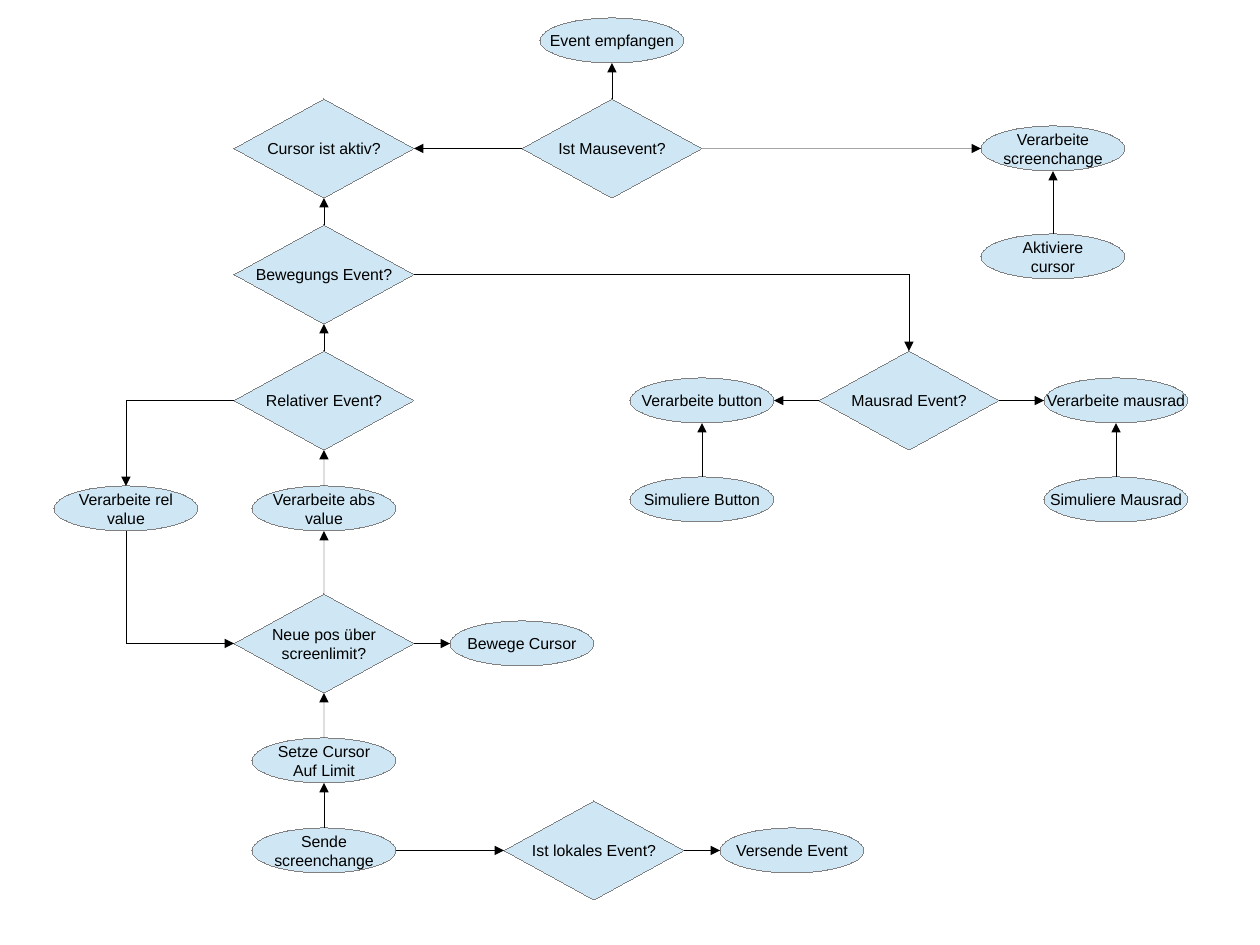
from dataclasses import dataclass

from lxml import etree
from pptx import Presentation
from pptx.dml.color import RGBColor
from pptx.enum.shapes import MSO_CONNECTOR, MSO_SHAPE
from pptx.enum.text import MSO_ANCHOR, PP_ALIGN
from pptx.oxml.ns import qn
from pptx.util import Inches, Pt

STEP, DECISION = MSO_SHAPE.OVAL, MSO_SHAPE.DIAMOND
STRAIGHT, ELBOW = MSO_CONNECTOR.STRAIGHT, MSO_CONNECTOR.ELBOW
CENTER, MIDDLE = PP_ALIGN.CENTER, MSO_ANCHOR.MIDDLE
TOP, LEFT, BOTTOM, RIGHT = range(4)
CM_PER_INCH = 2.54
SLIDE_CM = (28, 21)
SIZES_CM = {STEP: (3.2, 1), DECISION: (4, 2.2)}
OFFSETS = {TOP: (0, -0.5), LEFT: (-0.5, 0), BOTTOM: (0, 0.5), RIGHT: (0.5, 0)}


@dataclass(frozen=True)
class Theme:
    fill: RGBColor = RGBColor(0xCF, 0xE7, 0xF5)
    outline: RGBColor = RGBColor(0x80, 0x80, 0x80)
    ink: RGBColor = RGBColor(0, 0, 0)
    font: str = "Arial"
    text_size: float = 10


@dataclass(frozen=True)
class Node:
    kind: MSO_SHAPE
    cx: float
    cy: float
    text: str

    def side(self, side: int) -> tuple[float, float]:
        w, h = SIZES_CM[self.kind]
        dx, dy = OFFSETS[side]
        return self.cx + dx * w, self.cy + dy * h


@dataclass(frozen=True)
class Arrow:
    start: str
    out: int
    end: str
    into: int


THEME = Theme()
MAIN, REL, MOUSE, SCREEN = 7.2, 2.8, 13.6, 23.4
BUTTON, WHEEL_TEST, WHEEL = 15.6, 20.2, 24.8

NODES = {
    "receive": Node(STEP, MOUSE, 0.9, "Event empfangen"),
    "sim_wheel": Node(STEP, WHEEL, 11.1, "Simuliere Mausrad"),
    "move": Node(STEP, 11.6, 14.3, "Bewege Cursor"),
    "send_change": Node(STEP, MAIN, 18.9, "Sende\nscreenchange"),
    "wheel": Node(STEP, WHEEL, 8.9, "Verarbeite mausrad"),
    "abs": Node(STEP, MAIN, 11.3, "Verarbeite abs\nvalue"),
    "change": Node(STEP, SCREEN, 3.3, "Verarbeite\nscreenchange"),
    "rel": Node(STEP, REL, 11.3, "Verarbeite rel\nvalue"),
    "activate": Node(STEP, SCREEN, 5.7, "Aktiviere\ncursor"),
    "send": Node(STEP, 17.6, 18.9, "Versende Event"),
    "clamp": Node(STEP, MAIN, 16.9, "Setze Cursor\nAuf Limit"),
    "sim_button": Node(STEP, BUTTON, 11.1, "Simuliere Button"),
    "is_mouse": Node(DECISION, MOUSE, 3.3, "Ist Mausevent?"),
    "is_motion": Node(DECISION, MAIN, 6.1, "Bewegungs Event?"),
    "is_rel": Node(DECISION, MAIN, 8.9, "Relativer Event?"),
    "is_wheel": Node(DECISION, WHEEL_TEST, 8.9, "Mausrad Event?"),
    "over_limit": Node(DECISION, MAIN, 14.3, "Neue pos über\nscreenlimit?"),
    "is_local": Node(DECISION, 13.2, 18.9, "Ist lokales Event?"),
    "is_active": Node(DECISION, MAIN, 3.3, "Cursor ist aktiv?"),
    "button": Node(STEP, BUTTON, 8.9, "Verarbeite button"),
}

ARROWS = [
    Arrow("is_mouse", TOP, "receive", BOTTOM),
    Arrow("is_mouse", LEFT, "is_active", RIGHT),
    Arrow("is_mouse", RIGHT, "change", LEFT),
    Arrow("activate", TOP, "change", BOTTOM),
    Arrow("is_motion", TOP, "is_active", BOTTOM),
    Arrow("is_motion", RIGHT, "is_wheel", TOP),
    Arrow("is_rel", TOP, "is_motion", BOTTOM),
    Arrow("is_rel", LEFT, "rel", TOP),
    Arrow("abs", TOP, "is_rel", BOTTOM),
    Arrow("is_wheel", RIGHT, "wheel", LEFT),
    Arrow("is_wheel", LEFT, "button", RIGHT),
    Arrow("sim_button", TOP, "button", BOTTOM),
    Arrow("sim_wheel", TOP, "wheel", BOTTOM),
    Arrow("rel", BOTTOM, "over_limit", LEFT),
    Arrow("over_limit", RIGHT, "move", LEFT),
    Arrow("clamp", TOP, "over_limit", BOTTOM),
    Arrow("send_change", TOP, "clamp", BOTTOM),
    Arrow("send_change", RIGHT, "is_local", LEFT),
    Arrow("is_local", RIGHT, "send", LEFT),
    Arrow("over_limit", TOP, "abs", BOTTOM),
]


def lengths(*values_cm: float) -> list[Inches]:
    return [Inches(v / CM_PER_INCH) for v in values_cm]


def set_hairline(sp, color: RGBColor):
    sp.line.color.rgb = color
    ln = sp._element.spPr.find(qn("a:ln"))
    ln.set("w", "0")
    return ln


def draw_node(s, node: Node):
    w, h = SIZES_CM[node.kind]
    sp = s.shapes.add_shape(node.kind, *lengths(node.cx - w / 2, node.cy - h / 2, w, h))
    sp.shadow.inherit = False
    sp.fill.solid()
    sp.fill.fore_color.rgb = THEME.fill
    set_hairline(sp, THEME.outline)
    tf = sp.text_frame
    tf.word_wrap = False
    tf.vertical_anchor = MIDDLE
    for i, line in enumerate(node.text.split("\n")):
        p = tf.add_paragraph() if i else tf.paragraphs[0]
        p.alignment = CENTER
        r = p.add_run()
        r.text = line
        r.font.name = THEME.font
        r.font.size = Pt(THEME.text_size)
        r.font.color.rgb = THEME.ink
    return sp


def add_elbow(s, x1: float, y1: float, x2: float, y2: float, down_first: bool):
    if down_first:
        cx, cy = (x1 + x2) / 2, (y1 + y2) / 2
        half_w, half_h = (x2 - x1) / 2, (y2 - y1) / 2
        x1, y1, x2, y2 = cx + half_h, cy - half_w, cx - half_h, cy + half_w
    cxn = s.shapes.add_connector(ELBOW, *lengths(x1, y1, x2, y2))
    sp_pr = cxn._element.spPr
    sp_pr.find(qn("a:prstGeom")).set("prst", "bentConnector2")
    if down_first:
        sp_pr.find(qn("a:xfrm")).set("rot", str(270 * 60000))
    return cxn


def draw_arrow(s, arrow: Arrow, shapes: dict) -> None:
    start, end = NODES[arrow.start], NODES[arrow.end]
    x1, y1 = start.side(arrow.out)
    x2, y2 = end.side(arrow.into)
    if start.cx == end.cx or start.cy == end.cy:
        cxn = s.shapes.add_connector(STRAIGHT, *lengths(x1, y1, x2, y2))
        if start.kind == DECISION:
            cxn.begin_connect(shapes[arrow.start], arrow.out)
        if end.kind == DECISION:
            cxn.end_connect(shapes[arrow.end], arrow.into)
    else:
        cxn = add_elbow(s, x1, y1, x2, y2, arrow.out == BOTTOM)
    ln = set_hairline(cxn, THEME.ink)
    etree.SubElement(ln, qn("a:tailEnd"), type="triangle")
    etree.SubElement(cxn._element.spPr, qn("a:effectLst"))


def main() -> None:
    prs = Presentation()
    prs.slide_width, prs.slide_height = lengths(*SLIDE_CM)
    s = prs.slides.add_slide(prs.slide_layouts[6])
    shapes = {key: draw_node(s, node) for key, node in NODES.items()}
    for arrow in ARROWS:
        draw_arrow(s, arrow, shapes)
    prs.save("out.pptx")


if __name__ == "__main__":
    main()
